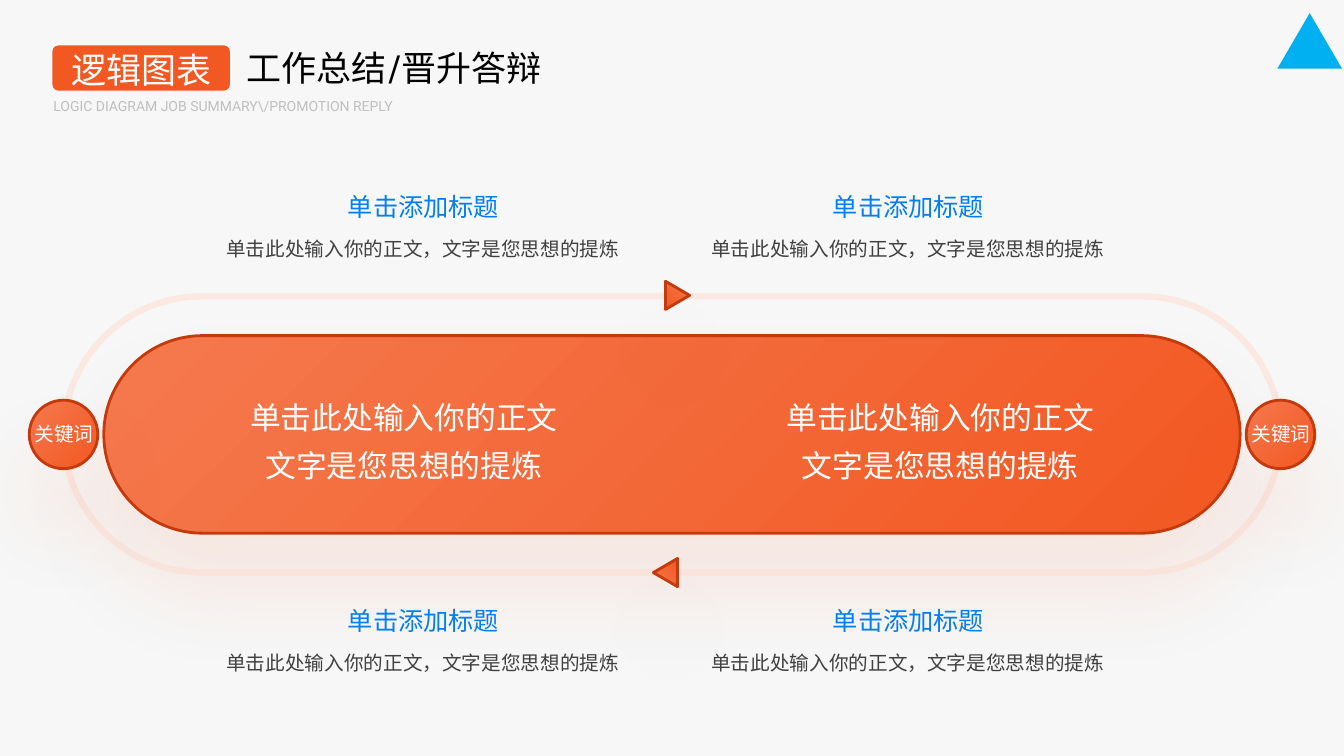
from dataclasses import dataclass

from lxml.etree import SubElement
from pptx import Presentation
from pptx.dml.color import RGBColor
from pptx.enum.shapes import MSO_SHAPE
from pptx.enum.text import MSO_ANCHOR, MSO_AUTO_SIZE, PP_ALIGN
from pptx.oxml.ns import qn
from pptx.util import Inches, Pt


@dataclass(frozen=True)
class Theme:
    background: str = "F7F7F7"
    orange: str = "F25822"
    light_orange: str = "F5794E"
    outline: str = "C43A0C"
    track: str = "FCDED3"
    blue: str = "037EF3"
    sky: str = "00B0F0"
    body: str = "404040"
    caption: str = "BFBFBF"
    white: str = "FFFFFF"
    black: str = "000000"
    font: str = "Karla"
    banner_font: str = "Roboto"
    keyword_font: str = "Arial"
    title_size: int = 25
    banner_size: int = 22
    heading_size: int = 18
    body_size: int = 14
    caption_size: int = 10


THEME = Theme()
CENTER_Y = 4.31
TRACK_RADIUS = 1.37
TRACK_ENDS = (2.0, 11.33)
ARC_HANDLE = 0.55
HEADING = "单击添加标题"
BODY = "单击此处输入你的正文，文字是您思想的提炼"
BANNER = ("单击此处输入你的正文", "文字是您思想的提炼")


def rgb(value):
    return RGBColor.from_string(value)


def apply(target, values):
    for name, value in values.items():
        setattr(target, name, value)


def add_text(slide, box, lines, size, color, font=THEME.font,
             align=PP_ALIGN.CENTER, spacing=None, wrap=True, inset=True):
    shape = slide.shapes.add_textbox(*map(Inches, box))
    frame = shape.text_frame
    apply(frame, {"word_wrap": wrap, "vertical_anchor": MSO_ANCHOR.TOP,
                  "auto_size": MSO_AUTO_SIZE.SHAPE_TO_FIT_TEXT})
    if not inset:
        sides = ("left", "top", "right", "bottom")
        apply(frame, {f"margin_{side}": 0 for side in sides})
    for index, line in enumerate(lines):
        paragraph = frame.add_paragraph() if index else frame.paragraphs[0]
        apply(paragraph, {"alignment": align, "line_spacing": spacing})
        run = paragraph.add_run()
        run.text = line
        apply(run.font, {"name": font, "size": Pt(size)})
        run.font.color.rgb = rgb(color)


def add_plain_shape(slide, kind, box, color):
    shape = slide.shapes.add_shape(kind, *map(Inches, box))
    shape.fill.solid()
    shape.fill.fore_color.rgb = rgb(color)
    shape.line.fill.background()
    shape.shadow.inherit = False
    return shape


def add_glow(shape):
    effects = shape._element.spPr.find(qn("a:effectLst"))
    shadow = SubElement(effects, qn("a:outerShdw"), {
        "blurRad": str(Pt(60)), "dist": str(Pt(41)), "dir": "5400000",
        "algn": "t", "rotWithShape": "0"})
    color = SubElement(shadow, qn("a:srgbClr"), val=THEME.orange)
    SubElement(color, qn("a:alpha"), val="10000")


def add_gradient_shape(slide, kind, box, rotation=0):
    shape = slide.shapes.add_shape(kind, *map(Inches, box))
    shape.rotation = rotation
    shape.fill.gradient()
    shape.fill.gradient_angle = 315
    for stop, color, position in zip(shape.fill.gradient_stops,
                                     (THEME.light_orange, THEME.orange), (0, 1)):
        stop.color.rgb = rgb(color)
        stop.position = position
    shape.line.color.rgb = rgb(THEME.outline)
    shape.line.width = Pt(2)
    shape.shadow.inherit = False
    add_glow(shape)
    return shape


def round_segment(segment, start, end, corner):
    handles = [tuple(round(p + (c - p) * ARC_HANDLE) for p, c in zip(point, corner))
               for point in (start, end)]
    curve = segment.makeelement(qn("a:cubicBezTo"))
    for x, y in (*handles, end):
        SubElement(curve, qn("a:pt"), x=str(x), y=str(y))
    segment.getparent().replace(segment, curve)


def add_track(slide, direction):
    left, right = TRACK_ENDS
    edge = CENTER_Y + direction * TRACK_RADIUS
    corners = ((right + TRACK_RADIUS, CENTER_Y), (right, edge),
               (left, edge), (left - TRACK_RADIUS, CENTER_Y))
    points = [(Inches(x), Inches(y)) for x, y in corners]
    builder = slide.shapes.build_freeform(*points[0], scale=1.0)
    builder.add_line_segments(points[1:], close=False)
    shape = builder.convert_to_shape()
    local = [(x - shape.left, y - shape.top) for x, y in points]
    segments = list(shape._element.iter(qn("a:lnTo")))
    round_segment(segments[0], local[0], local[1], (local[0][0], local[1][1]))
    round_segment(segments[2], local[2], local[3], (local[3][0], local[2][1]))
    shape.fill.background()
    shape.line.color.rgb = rgb(THEME.track)
    shape.line.width = Pt(4.5)
    color = shape.line._ln.find(".//" + qn("a:srgbClr"))
    SubElement(color, qn("a:alpha"), val="60000")
    shape.shadow.inherit = False


def add_title(slide):
    add_text(slide, (0.53, 0.97, 4.84, 0.17),
             ["LOGIC DIAGRAM JOB SUMMARY\\/PROMOTION REPLY"], THEME.caption_size,
             THEME.caption, THEME.banner_font, PP_ALIGN.JUSTIFY, inset=False)
    tag = add_plain_shape(slide, MSO_SHAPE.ROUNDED_RECTANGLE,
                          (0.52, 0.45, 1.76, 0.45), THEME.orange)
    tag.adjustments[0] = 0.136
    add_text(slide, (0.55, 0.48, 1.7, 0.42), ["逻辑图表"], THEME.title_size,
             THEME.white, inset=False)
    add_text(slide, (2.35, 0.41, 3.31, 0.52), ["工作总结/晋升答辩"],
             THEME.title_size, THEME.black, align=PP_ALIGN.LEFT)


def add_note(slide, left, top):
    add_text(slide, (left, top + 0.44, 4.13, 0.39), [BODY], THEME.body_size,
             THEME.body, spacing=1.3, wrap=False)
    add_text(slide, (left + 1.21, top, 1.72, 0.45), [HEADING], THEME.heading_size,
             THEME.blue, spacing=1.2, wrap=False)


def add_keyword(slide, left):
    add_gradient_shape(slide, MSO_SHAPE.OVAL, (left, 3.97, 0.68, 0.68))
    add_text(slide, (left - 0.05, 4.14, 0.79, 0.34), ["关键词"], THEME.body_size,
             THEME.white, THEME.keyword_font, wrap=False)


def main():
    presentation = Presentation()
    apply(presentation, {"slide_width": Inches(13.33), "slide_height": Inches(7.5)})
    slide = presentation.slides.add_slide(presentation.slide_layouts[6])
    slide.background.fill.solid()
    slide.background.fill.fore_color.rgb = rgb(THEME.background)

    add_plain_shape(slide, MSO_SHAPE.ISOSCELES_TRIANGLE,
                    (12.67, 0.13, 0.64, 0.55), THEME.sky)
    add_title(slide)
    banner = add_gradient_shape(slide, MSO_SHAPE.ROUNDED_RECTANGLE,
                                (1.03, 3.33, 11.27, 1.96))
    banner.adjustments[0] = 0.5
    for direction in (1, -1):
        add_track(slide, direction)
    for left in (0.29, 12.36):
        add_keyword(slide, left)
    for left, top, rotation in ((6.58, 2.81, 90), (6.46, 5.56, 270)):
        add_gradient_shape(slide, MSO_SHAPE.ISOSCELES_TRIANGLE,
                           (left, top, 0.28, 0.24), rotation)
    for top in (1.79, 5.9):
        for left in (2.13, 6.94):
            add_note(slide, left, top)
    for left in (2.27, 7.59):
        add_text(slide, (left, 3.8, 3.47, 1.02), BANNER, THEME.banner_size,
                 THEME.white, THEME.banner_font, spacing=1.3)
    presentation.save("out.pptx")


if __name__ == "__main__":
    main()
